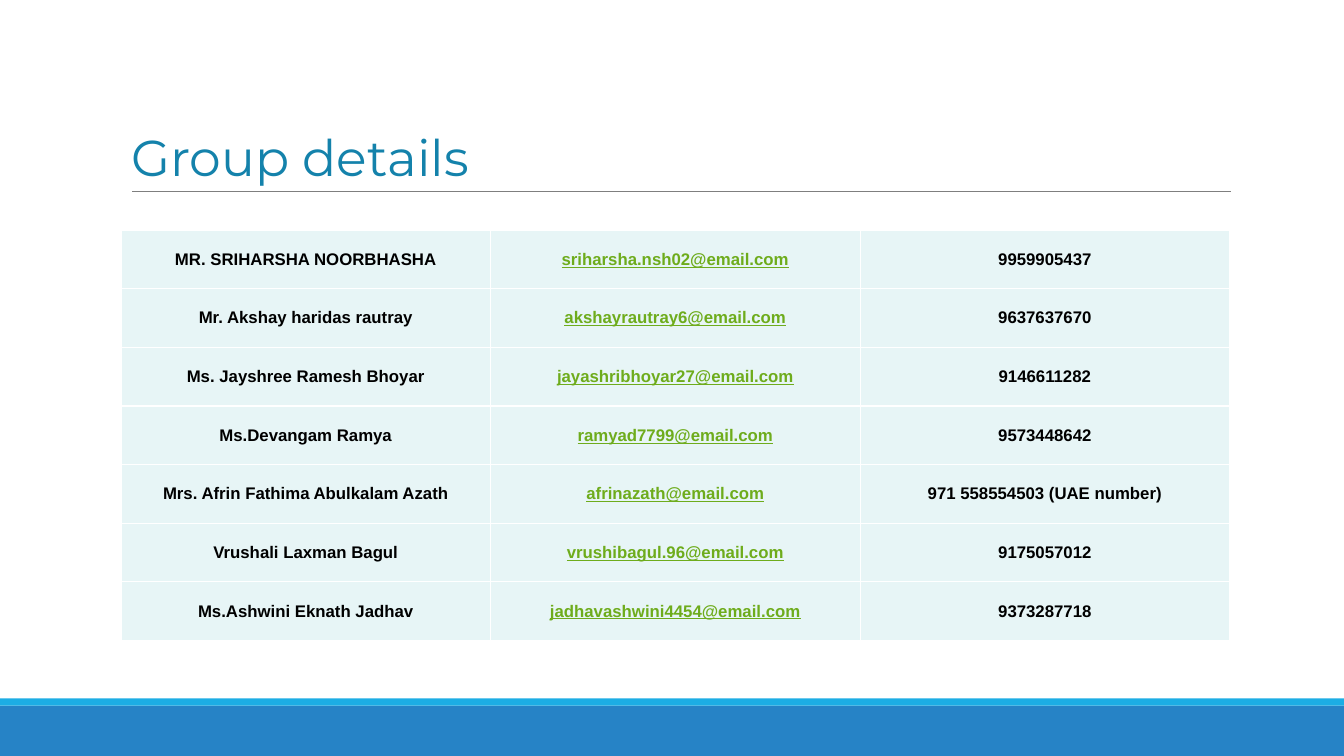
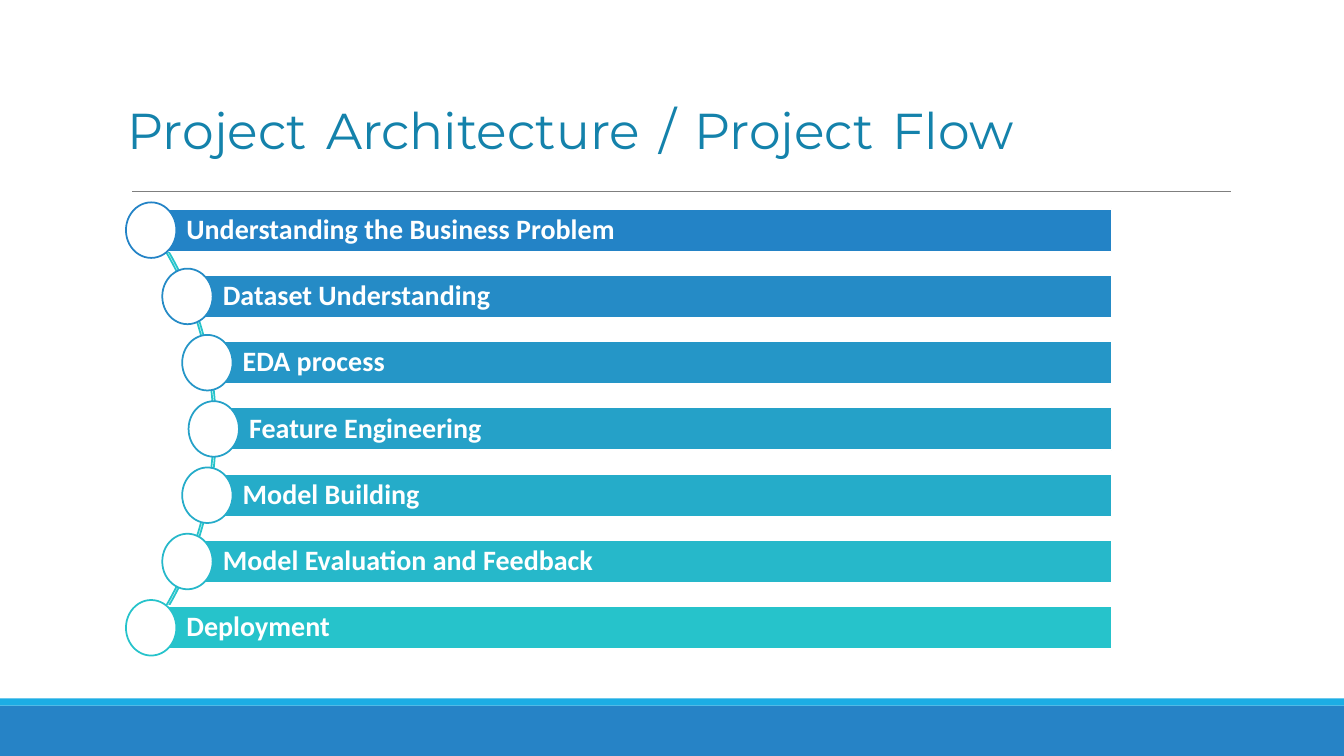
from dataclasses import dataclass
from math import sqrt

from lxml.etree import SubElement
from pptx import Presentation
from pptx.dml.color import RGBColor
from pptx.enum.shapes import MSO_CONNECTOR, MSO_SHAPE
from pptx.enum.text import MSO_ANCHOR, MSO_AUTO_SIZE, PP_ALIGN
from pptx.oxml.ns import qn
from pptx.util import Cm, Pt


@dataclass(frozen=True)
class Theme:
    white: str = "FFFFFF"
    black: str = "000000"
    band: str = "2683C6"
    strip: str = "1CADE4"
    rule: str = "7F7F7F"
    title: str = "1482AB"
    title_gap: str = "002776"
    cell: str = "E7F5F6"
    email: str = "6EAC1C"
    arc: str = "26C4CB"
    steps: tuple = ("2383C6", "258BC6", "2596C7", "25A1C8", "25ACC9", "26B8CA", "26C3CB")
    title_font: str = "Montserrat"
    table_font: str = "Arial"
    flow_font: str = "Calibri"
    title_size: int = 36
    gap_size: int = 48
    table_size: int = 12
    flow_size: int = 20
    outline: float = 1.25


T = Theme()

MEMBERS = [
    ("MR. SRIHARSHA NOORBHASHA", "sriharsha.nsh02@email.com", "9959905437"),
    ("Mr. Akshay haridas rautray", "akshayrautray6@email.com", "9637637670"),
    ("Ms. Jayshree Ramesh Bhoyar", "jayashribhoyar27@email.com", "9146611282"),
    ("Ms.Devangam Ramya", "ramyad7799@email.com", "9573448642"),
    ("Mrs. Afrin Fathima Abulkalam Azath", "afrinazath@email.com", "971 558554503 (UAE number)"),
    ("Vrushali Laxman Bagul", "vrushibagul.96@email.com", "9175057012"),
    ("Ms.Ashwini Eknath Jadhav", "jadhavashwini4454@email.com", "9373287718"),
]

STEPS = [
    "Understanding the Business Problem",
    "Dataset Understanding",
    "EDA process",
    "Feature Engineering",
    "Model Building",
    "Model Evaluation and Feedback",
    "Deployment",
]


def rgb(color):
    return RGBColor.from_string(color)


def add_text(p, text, *, font, size, color, bold=False, underline=False,
             align=PP_ALIGN.LEFT, spacing=None):
    """Append one formatted run to paragraph p."""
    p.alignment = align
    if spacing:
        p.line_spacing = spacing
    r = p.add_run()
    r.text = text
    f = r.font
    f.name, f.size, f.bold, f.underline = font, Pt(size), bold, underline
    f.color.rgb = rgb(color)


def add_block(slide, kind, box, fill=None, line=None):
    """Add a preset shape; box is left, top, width, height in cm."""
    sp = slide.shapes.add_shape(kind, *map(Cm, box))
    sp.shadow.inherit = False
    if fill:
        sp.fill.solid()
        sp.fill.fore_color.rgb = rgb(fill)
    else:
        sp.fill.background()
    if line:
        sp.line.color.rgb = rgb(line)
        sp.line.width = Pt(T.outline)
    else:
        sp.line.fill.background()
    return sp


def add_rule(slide, left, right, y):
    ln = slide.shapes.add_connector(MSO_CONNECTOR.STRAIGHT, Cm(left), Cm(y), Cm(right), Cm(y))
    ln.line.color.rgb = rgb(T.rule)
    ln.line.width = Pt(0.75)
    SubElement(ln.element.spPr, qn("a:effectLst"))
    return ln


def add_frame(slide, layout):
    """Draw the bands and title rule, then move them to the shared layout."""
    parts = [
        add_block(slide, MSO_SHAPE.RECTANGLE, (0, 17.78, 33.87, 1.27), T.band),
        add_block(slide, MSO_SHAPE.RECTANGLE, (0, 17.6, 33.87, 0.18), T.strip),
        add_rule(slide, 3.33, 31.01, 4.83),
    ]
    for part in parts:
        layout.shapes.element.append(part.element)


def set_title(slide, words, box, gap):
    """Fill the title, with the format in gap for the spaces between words."""
    sp = slide.shapes.title
    sp.left, sp.top, sp.width, sp.height = map(Cm, box)
    tf = sp.text_frame
    tf.word_wrap = True
    tf.auto_size = MSO_AUTO_SIZE.NONE
    tf.vertical_anchor = MSO_ANCHOR.BOTTOM
    p = tf.paragraphs[0]
    for i, word in enumerate(words):
        if i:
            add_text(p, " ", **gap)
        add_text(p, word, font=T.title_font, size=T.title_size, color=T.title, spacing=0.85)


def set_borders(cell, color, width):
    pr = cell._tc.get_or_add_tcPr()
    for i, side in enumerate(("lnL", "lnR", "lnT", "lnB")):
        ln = pr.makeelement(qn(f"a:{side}"), {"w": str(Pt(width))})
        fill = SubElement(ln, qn("a:solidFill"))
        SubElement(fill, qn("a:srgbClr"), val=color)
        pr.insert(i, ln)


def add_member_table(slide, box, rows):
    tbl = slide.shapes.add_table(len(rows), len(rows[0]), *map(Cm, box)).table
    tbl.first_row = tbl.horz_banding = False
    for i, row in enumerate(rows):
        for j, text in enumerate(row):
            cell = tbl.cell(i, j)
            cell.fill.solid()
            cell.fill.fore_color.rgb = rgb(T.cell)
            cell.vertical_anchor = MSO_ANCHOR.MIDDLE
            cell.margin_left = cell.margin_right = Cm(0.05)
            cell.margin_top = cell.margin_bottom = Cm(0.05)
            set_borders(cell, T.white, 1)
            is_email = "@" in text
            add_text(cell.text_frame.paragraphs[0], text, font=T.table_font, size=T.table_size,
                     color=T.email if is_email else T.black, bold=True,
                     underline=is_email, align=PP_ALIGN.CENTER)


def add_step(slide, box, text, color):
    """A labelled bar with a round marker centred on its left end."""
    left, top, _, height = box
    bar = add_block(slide, MSO_SHAPE.RECTANGLE, box, color, T.white)
    tf = bar.text_frame
    tf.word_wrap = True
    tf.vertical_anchor = MSO_ANCHOR.MIDDLE
    tf.margin_left = Cm(0.89)
    tf.margin_top = tf.margin_right = tf.margin_bottom = Cm(0.15)
    add_text(tf.paragraphs[0], text, font=T.flow_font, size=T.flow_size,
             color=T.white, bold=True, spacing=0.9)
    w, h = 1.27, 1.4
    add_block(slide, MSO_SHAPE.OVAL, (left - w / 2, top + (height - h) / 2, w, h), T.white, color)


def add_flow(slide, box, steps):
    """Stack the steps in box, their left ends following a circle."""
    left, top, width, height = box
    bar_h, radius = 1.08, 8.74
    pitch = (height - bar_h) / (len(steps) - 1)
    middle = top + height / 2
    arc_w, arc_h = 14.91, 16.48
    arc = add_block(slide, MSO_SHAPE.BLOCK_ARC,
                    (left + 1.63 - arc_w, middle - arc_h / 2, arc_w, arc_h), line=T.arc)
    for i, value in enumerate((189, 27, 0.004)):
        arc.adjustments[i] = value
    reach = sqrt(radius ** 2 - ((height - bar_h) / 2) ** 2)
    for i, (text, color) in enumerate(zip(steps, T.steps)):
        y = top + i * pitch
        indent = sqrt(radius ** 2 - (y + bar_h / 2 - middle) ** 2) - reach
        add_step(slide, (left + indent, y, width - indent, bar_h), text, color)


def main():
    prs = Presentation()
    prs.slide_width, prs.slide_height = Cm(33.87), Cm(19.05)
    layout = prs.slide_layouts[5]
    plain_gap = dict(font=T.title_font, size=T.title_size, color=T.title)
    wide_gap = dict(font=T.table_font, size=T.gap_size, color=T.title_gap, bold=True)

    group = prs.slides.add_slide(layout)
    add_frame(group, layout)
    set_title(group, ["Group", "details"], (3.05, 0.79, 27.94, 4.04), plain_gap)
    add_member_table(group, (3.05, 5.8, 27.94, 10.34), MEMBERS)

    flow = prs.slides.add_slide(layout)
    set_title(flow, ["Project", "Architecture", "/", "Project", "Flow"],
              (2.97, 1.37, 27.94, 2.87), wide_gap)
    add_flow(flow, (3.81, 5.26, 24.2, 11.1), STEPS)

    prs.save("out.pptx")


if __name__ == "__main__":
    main()
